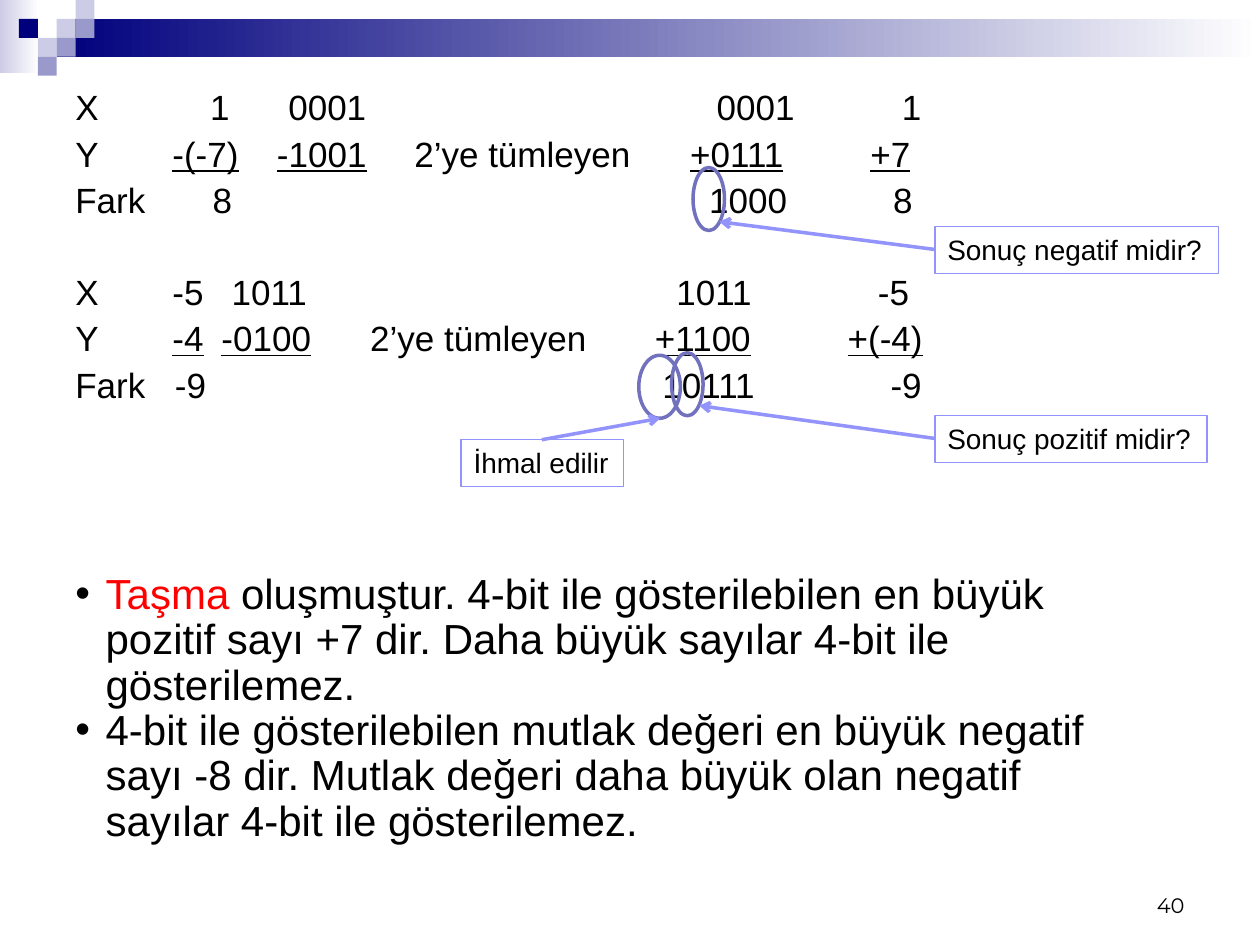
from collections import namedtuple

from lxml.etree import SubElement
from pptx import Presentation
from pptx.dml.color import RGBColor
from pptx.enum.shapes import MSO_CONNECTOR as Link, MSO_SHAPE as Preset
from pptx.enum.text import MSO_ANCHOR as Anchor, PP_ALIGN as Align
from pptx.oxml.ns import qn
from pptx.util import Inches, Pt

Box = namedtuple("Box", "left top width height")
COLUMN = ROW = Inches(1)
CELL = 0.15
COLORS = {"black": "000000", "red": "FF0000", "navy": "00007D", "lilac": "CCCCE6",
          "violet": "9999CC", "white": "FFFFFF", "ring": "7171BD", "arrow": "9393FC"}
SQUARES = [(3, 1, "lilac"), (4, 0, "lilac"), (4, 1, "violet"), (2, 2, "lilac"),
           (1, 1, "navy"), (3, 2, "violet"), (2, 3, "violet")]
SUMS = [
    [("X", [(1.07, "1"), (1.69, "0001"), (5.09, "0001"), (6.56, "1")]),
     ("Y", [(0.77, "-(-7)"), (1.6, "-1001"), (2.69, "2’ye tümleyen"),
            (4.88, "+0111"), (6.31, "+7")]),
     ("Fark", [(1.09, "8"), (5.03, "1000"), (6.49, "8")])],
    [("X", [(0.77, "-5"), (1.24, "1011"), (4.77, "1011"), (6.37, "-5")]),
     ("Y", [(0.77, "-4"), (1.16, "-0100"), (2.34, "2’ye tümleyen"),
            (4.6, "+1100"), (6.13, "+(-4)")]),
     ("Fark", [(0.79, "-9"), (4.66, "10111"), (6.47, "-9")])],
]
NOTES = [
    [("Taşma", "red"),
     (" oluşmuştur. 4-bit ile gösterilebilen en büyük pozitif sayı +7 dir. "
      "Daha büyük sayılar 4-bit ile gösterilemez.", "black")],
    [("4-bit ile gösterilebilen mutlak değeri en büyük negatif sayı -8 dir. "
      "Mutlak değeri daha büyük olan negatif sayılar 4-bit ile gösterilemez.", "black")],
]


def rgb(name):
    """Return the named colour."""
    return RGBColor.from_string(COLORS[name])


def place(box):
    """Turn grid columns and rows into slide lengths."""
    return (int(box.left * COLUMN), int(box.top * ROW),
            int(box.width * COLUMN), int(box.height * ROW))


def write(para, text, size=20, font="Arial", color="black", underline=False):
    """Add one formatted span to a paragraph."""
    span = para.add_run()
    span.text = text
    span.font.size, span.font.name = Pt(size), font
    span.font.underline = underline
    span.font.color.rgb = rgb(color)


def add_shape(page, box, preset=Preset.RECTANGLE, fill=None, line=None, weight=1):
    """Add a flat shape with a plain, graded or empty fill."""
    shape = page.shapes.add_shape(preset, *place(box))
    shape.shadow.inherit = False
    if isinstance(fill, tuple):
        shape.fill.gradient()
        shape.fill.gradient_angle = 0
        for stop, name in zip(shape.fill.gradient_stops, fill):
            stop.color.rgb = rgb(name)
    elif fill:
        shape.fill.solid()
        shape.fill.fore_color.rgb = rgb(fill)
    else:
        shape.fill.background()
    if line:
        shape.line.color.rgb, shape.line.width = rgb(line), Pt(weight)
    else:
        shape.line.fill.background()
    return shape


def add_frame(page, box):
    """Add a wrapping text box and return its frame."""
    frame = page.shapes.add_textbox(*place(box)).text_frame
    frame.word_wrap = True
    return frame


def next_para(frame, index):
    """Return the first paragraph, or a new one after it."""
    return frame.add_paragraph() if index else frame.paragraphs[0]


def draw_banner(page, box):
    """Draw the graded bands and the mosaic of squares."""
    add_shape(page, Box(box.left, box.top, 0.31, box.height), fill=("lilac", "white"))
    add_shape(page, Box(box.left + 3 * CELL, box.top + CELL, box.width - 3 * CELL, 2 * CELL),
              fill=("navy", "white"))
    for column, row, color in SQUARES:
        square = Box(box.left + column * CELL, box.top + row * CELL, CELL, CELL)
        add_shape(page, square, fill=color)


def draw_sums(page, box):
    """Write the two subtractions on tab stops."""
    frame = add_frame(page, box)
    lines = [(block, row, *line) for block, rows in enumerate(SUMS)
             for row, line in enumerate(rows)]
    for index, (block, row, label, entries) in enumerate(lines):
        para = next_para(frame, index)
        para.line_spacing = 0.9
        if index:
            para.space_before = Pt(5 if row else 30.5)
        tabs = SubElement(para._p.get_or_add_pPr(), qn("a:tabLst"))
        write(para, label)
        for stop, text in entries:
            SubElement(tabs, qn("a:tab"), pos=str(int(stop * COLUMN)), algn="l")
            write(para, "\t")
            write(para, text, underline=label == "Y" and text[0] in "+-")


def draw_callout(page, box, text, ring, start, end):
    """Ring a digit and point to it from a labelled box."""
    add_shape(page, ring, Preset.OVAL, line="ring", weight=2)
    label = add_shape(page, box, line="arrow", weight=0.75)
    frame = label.text_frame
    frame.word_wrap = False
    frame.vertical_anchor = Anchor.TOP
    frame.paragraphs[0].alignment = Align.LEFT
    write(frame.paragraphs[0], text, size=16)
    left, top, right, bottom = place(Box(*start, *end))
    arrow = page.shapes.add_connector(Link.STRAIGHT, left, top, right, bottom)
    arrow.line.color.rgb, arrow.line.width = rgb("arrow"), Pt(2)
    SubElement(arrow.line._get_or_add_ln(), qn("a:tailEnd"), type="arrow")
    SubElement(arrow._element.spPr, qn("a:effectLst"))


def draw_notes(page, box):
    """Write the bulleted remarks on overflow."""
    frame = add_frame(page, box)
    for index, spans in enumerate(NOTES):
        para = next_para(frame, index)
        para.line_spacing = 0.9
        props = para._p.get_or_add_pPr()
        indent = int(0.24 * COLUMN)
        props.set("marL", str(indent))
        props.set("indent", str(-indent))
        tint = SubElement(props, qn("a:buClr"))
        SubElement(tint, qn("a:srgbClr"), val=COLORS["black"])
        SubElement(props, qn("a:buFont"), typeface="Arial")
        SubElement(props, qn("a:buChar"), char="•")
        for text, color in spans:
            write(para, text, size=24, color=color)


def draw_number(page, box, number):
    """Write the page number at the lower right."""
    frame = add_frame(page, box)
    frame.vertical_anchor = Anchor.BOTTOM
    frame.paragraphs[0].alignment = Align.RIGHT
    write(frame.paragraphs[0], number, size=12, font="Montserrat")


def main():
    """Build the slide and save the deck."""
    deck = Presentation()
    deck.slide_width, deck.slide_height = 10 * COLUMN, int(7.5 * ROW)
    page = deck.slides.add_slide(deck.slide_layouts[6])
    draw_banner(page, Box(0, 0, 10, 0.58))
    draw_number(page, Box(7.17, 6.83, 2.33, 0.5), "40")
    draw_sums(page, Box(0.5, 0.67, 9, 3.33))
    draw_callout(page, Box(3.66, 3.49, 1.29, 0.37), "İhmal edilir",
                 Box(5.07, 2.82, 0.33, 0.5), (4.3, 3.49), (5.24, 3.32))
    draw_callout(page, Box(7.42, 1.8, 2.25, 0.37), "Sonuç negatif midir?",
                 Box(5.5, 1.33, 0.25, 0.5), (7.42, 1.98), (5.71, 1.76))
    draw_callout(page, Box(7.42, 3.3, 2.16, 0.37), "Sonuç pozitif midir?",
                 Box(5.33, 2.8, 0.25, 0.5), (7.42, 3.48), (5.55, 3.22))
    draw_notes(page, Box(0.5, 4.5, 8.58, 2.5))
    deck.save("out.pptx")


if __name__ == "__main__":
    main()
